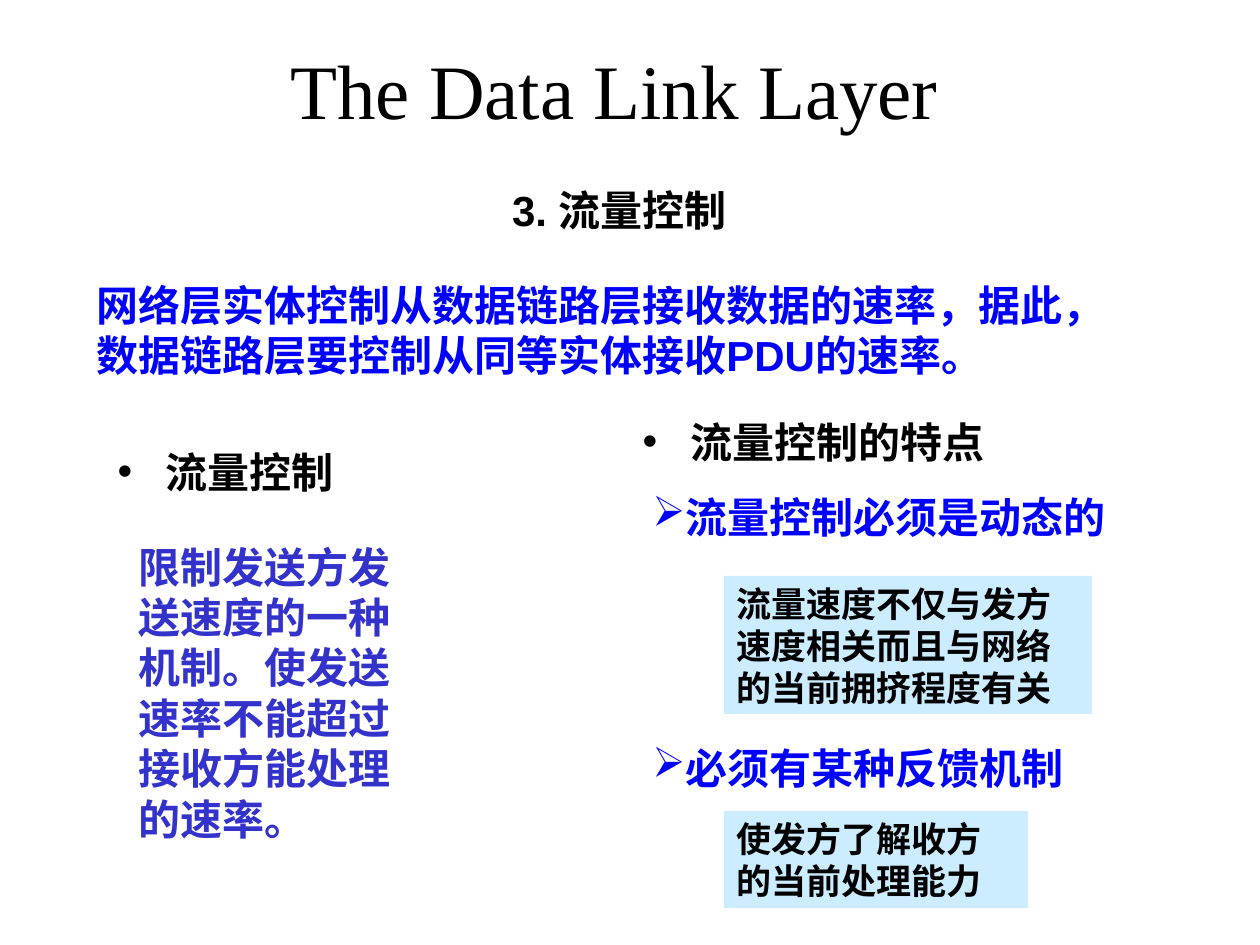
import pptx
import pptx.util
import pptx.dml.color
import pptx.enum.shapes
import pptx.enum.text
import lxml.etree

PX = 914400 / 126
THEME = {
    "title_font": "Times New Roman", "font": "Arial",
    "title": 44, "text": 24, "note": 20,
    "black": "000000", "blue": "0000FF", "indigo": "3333CC", "note_fill": "CCECFF",
}
ALIGN = pptx.enum.text.PP_ALIGN


def place(part, left, top, width, height):
    """Position a part in px and give it a wrapping, top-anchored frame."""
    part.left, part.top, part.width, part.height = (
        round(n * PX) for n in (left, top, width, height))
    frame = part.text_frame
    frame.word_wrap = True
    frame.auto_size = pptx.enum.text.MSO_AUTO_SIZE.NONE
    frame.vertical_anchor = pptx.enum.text.MSO_ANCHOR.TOP
    return frame


def write(paragraph, text, size="text", color="black", font="font", bold=True,
          align=ALIGN.LEFT, before=0, bullet=None, margins=None):
    """Fill a paragraph; margins are pPr lengths in px."""
    paragraph.text = text
    paragraph.alignment = align
    paragraph.space_before = pptx.util.Pt(before)
    properties = paragraph._p.get_or_add_pPr()
    for name, length in (margins or {}).items():
        properties.set(name, str(round(length * PX)))
    if bullet:
        ns = pptx.oxml.ns.qn
        bullet_color = lxml.etree.SubElement(properties, ns("a:buClr"))
        lxml.etree.SubElement(bullet_color, ns("a:srgbClr"), val=THEME[color])
        lxml.etree.SubElement(properties, ns("a:buChar"), char=bullet)
    paragraph.font.name = THEME[font]
    paragraph.font.size = pptx.util.Pt(THEME[size])
    paragraph.font.bold = bold
    paragraph.font.color.rgb = pptx.dml.color.RGBColor.from_string(THEME[color])


deck = pptx.Presentation()
deck.slide_width, deck.slide_height = round(1260 * PX), round(945 * PX)
slide = deck.slides.add_slide(deck.slide_layouts[3])
heading, left_topic, right_topic = list(slide.placeholders)[:3]
for unused in list(slide.placeholders)[3:]:
    unused._element.getparent().remove(unused._element)

# Title and section name
title_frame = place(heading, 94, 42, 1061, 179)
title_frame.margin_top = round(PX)
write(title_frame.paragraphs[0], "The Data Link Layer", "title", font="title_font",
      bold=False, align=ALIGN.CENTER, margins={"marR": 20})
write(title_frame.add_paragraph(), "3. 流量控制", align=ALIGN.CENTER, before=28,
      margins={"marL": 10})

# Column topics
for topic, box, text in (
    (left_topic, (105, 440, 262, 66), "流量控制"),
    (right_topic, (630, 410, 399, 73), "流量控制的特点"),
):
    write(place(topic, *box).paragraphs[0], text, bullet="•",
          margins={"marL": 48, "indent": -48})

# Introduction and definition
for box, text, color in (
    ((84, 273, 1071, 113),
     "网络层实体控制从数据链路层接收数据的速率，据此，数据链路层要控制从同等实体接收PDU的速率。",
     "blue"),
    ((126, 535, 305, 315),
     "限制发送方发送速度的一种机制。使发送速率不能超过接收方能处理的速率。", "indigo"),
):
    passage = slide.shapes.add_textbox(0, 0, 0, 0)
    write(place(passage, *box).paragraphs[0], text, color=color)

# Features of flow control, spaced to leave room for the first note
features = place(slide.shapes.add_textbox(0, 0, 0, 0), 640, 485, 504, 315)
write(features.paragraphs[0], "流量控制必须是动态的", color="blue",
      align=ALIGN.JUSTIFY, bullet="➢", margins={"marL": 0, "indent": 0})
write(features.add_paragraph(), "必须有某种反馈机制", color="blue", before=115,
      align=ALIGN.JUSTIFY, bullet="➢", margins={"marL": 0, "indent": 0})

# Notes under each feature
for box, text in (
    ((724, 576, 368, 138), "流量速度不仅与发方速度相关而且与网络的当前拥挤程度有关"),
    ((724, 811, 304, 97), "使发方了解收方的当前处理能力"),
):
    note = slide.shapes.add_shape(pptx.enum.shapes.MSO_SHAPE.RECTANGLE, 0, 0, 0, 0)
    note.shadow.inherit = False
    note.fill.solid()
    note.fill.fore_color.rgb = pptx.dml.color.RGBColor.from_string(THEME["note_fill"])
    note.line.fill.background()
    write(place(note, *box).paragraphs[0], text, "note")

deck.save("out.pptx")
